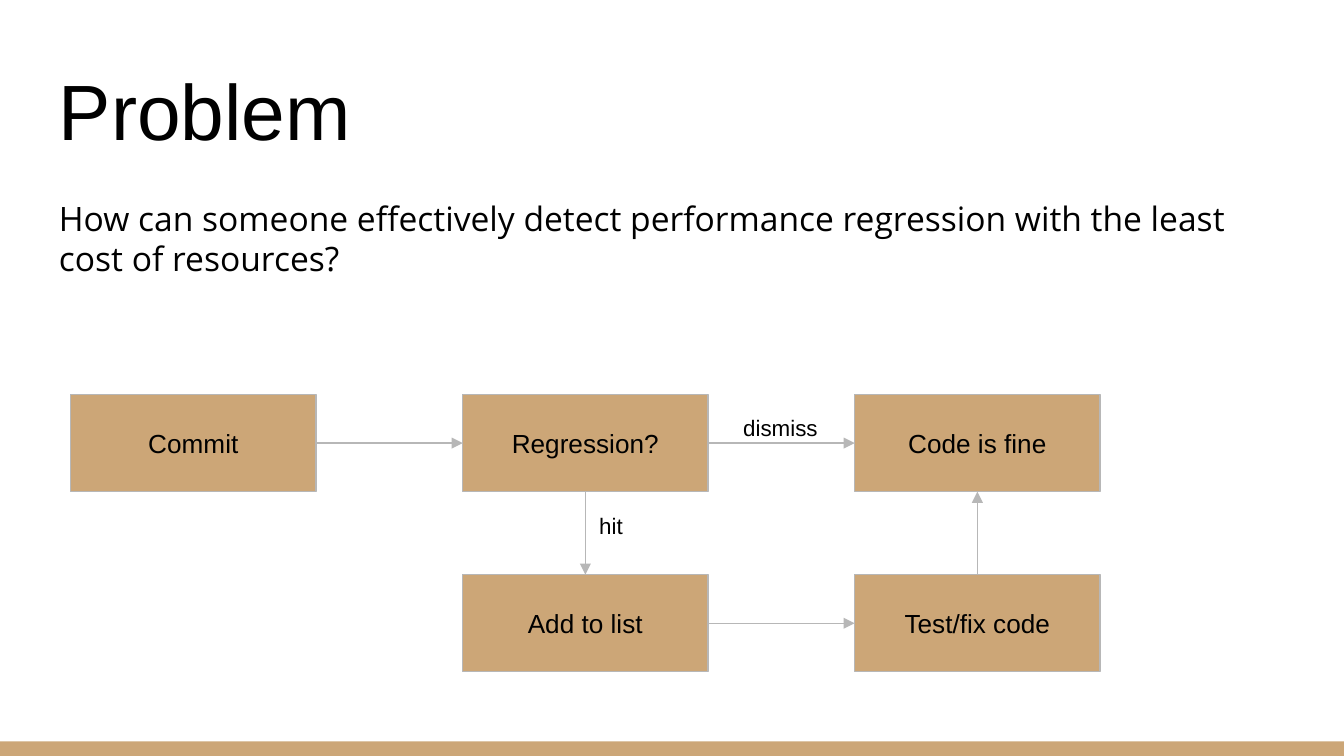
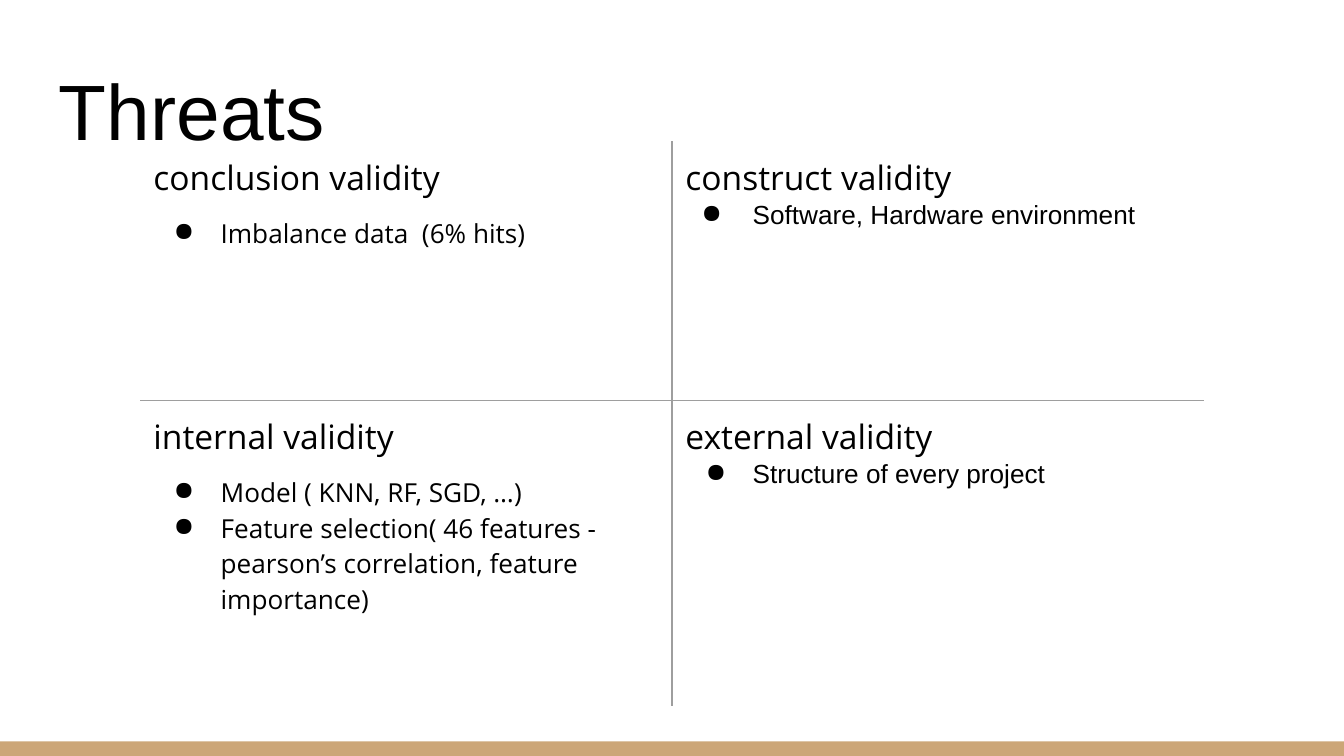
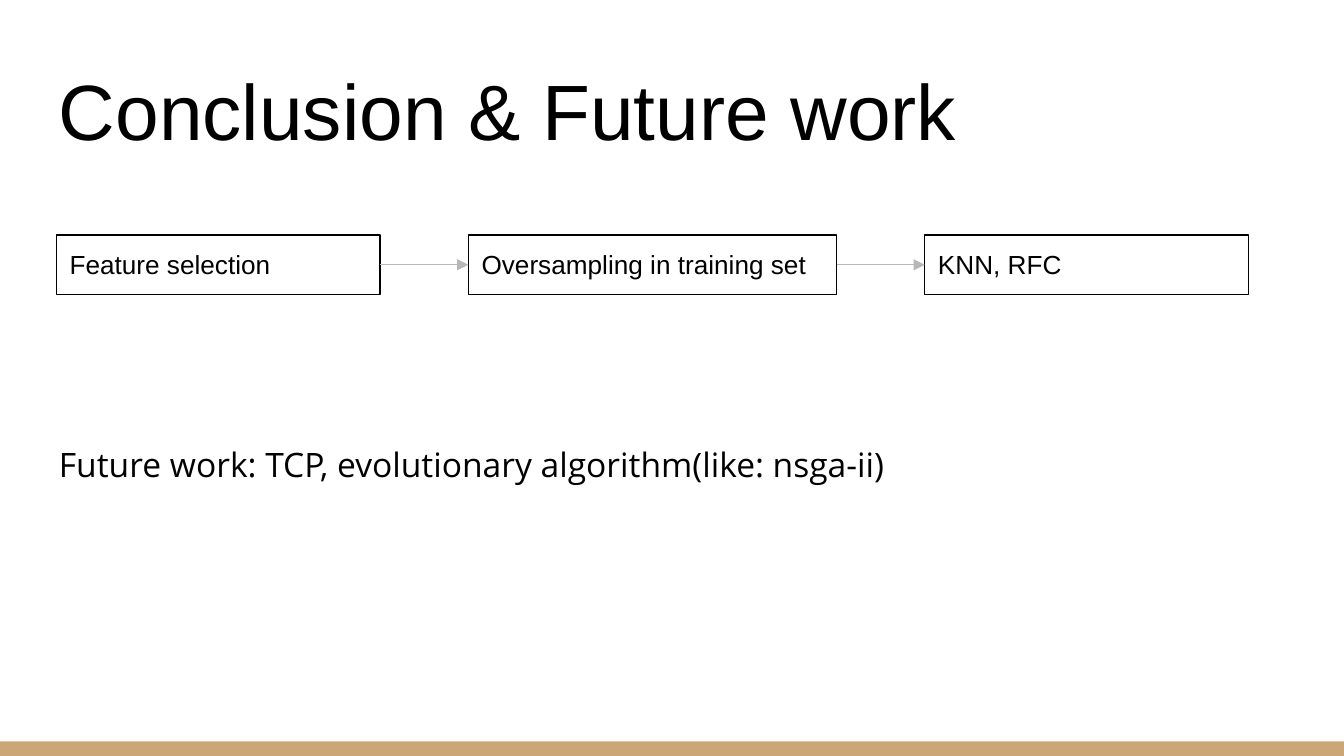
from dataclasses import dataclass

from lxml import etree
from pptx import Presentation
from pptx import util as u
from pptx.dml import color
from pptx.enum import shapes, text
from pptx.oxml import ns

WIDTH, HEIGHT = 720, 405
TAN, GREY, RULE, BLACK = "CCA677", "B7B7B7", "9E9E9E", "000000"
SANS, OPEN = "Arial", "Open Sans"
INSET = 7.2
LEFT, SPAN = 24.5, 671
TOP, LEFT_SIDE, BOTTOM, RIGHT_SIDE = range(4)


@dataclass(frozen=True)
class Box:
    left: float
    top: float
    width: float
    height: float

    def points(self) -> list:
        return [u.Pt(n) for n in (self.left, self.top, self.width, self.height)]


@dataclass(frozen=True)
class Step:
    label: str
    col: int
    row: int


@dataclass(frozen=True)
class Link:
    start: str
    side: int
    end: str
    entry: int


@dataclass(frozen=True)
class Threat:
    name: str
    items: tuple
    font: str
    hang: float = 25.2
    before: float = 0


STEPS = (
    Step("Commit", 0, 0),
    Step("Regression?", 1, 0),
    Step("Code is fine", 2, 0),
    Step("Add to list", 1, 1),
    Step("Test/fix code", 2, 1),
)
LINKS = (
    Link("Commit", RIGHT_SIDE, "Regression?", LEFT_SIDE),
    Link("Regression?", BOTTOM, "Add to list", TOP),
    Link("Regression?", RIGHT_SIDE, "Code is fine", LEFT_SIDE),
    Link("Add to list", RIGHT_SIDE, "Test/fix code", LEFT_SIDE),
    Link("Test/fix code", TOP, "Code is fine", BOTTOM),
)
THREATS = (
    (
        Threat("conclusion validity", ("Imbalance data  (6% hits)",), OPEN, before=8),
        Threat("construct validity", ("Software, Hardware environment",), SANS, hang=27.4),
    ),
    (
        Threat(
            "internal validity",
            (
                "Model ( KNN, RF, SGD, …)",
                "Feature selection( 46 features - pearson’s correlation, feature importance)",
            ),
            OPEN,
            before=8,
        ),
        Threat("external validity", ("Structure of every project",), SANS),
    ),
)
STAGES = (
    ("Feature selection", 173.5),
    ("Oversampling in training set", 197.3),
    ("KNN, RFC", 173.5),
)


def rgb(code: str) -> color.RGBColor:
    return color.RGBColor.from_string(code)


def write(para, words: str, *, size: float, font: str = SANS, align=None, before: float = 0) -> None:
    run = para.add_run()
    run.text = words
    run.font.size = u.Pt(size)
    run.font.name = font
    run.font.color.rgb = rgb(BLACK)
    para.alignment = align or text.PP_ALIGN.LEFT
    para.space_before = u.Pt(before)


def frame(shape, anchor=text.MSO_ANCHOR.TOP):
    """Set insets, wrap and anchor, and give the first paragraph."""
    body = shape.text_frame
    body.word_wrap = True
    body.vertical_anchor = anchor
    body.margin_left = body.margin_right = u.Pt(INSET)
    body.margin_top = body.margin_bottom = u.Pt(INSET)
    return body.paragraphs[0]


def add_text(slide, box: Box, words: str, *, anchor=text.MSO_ANCHOR.TOP, **style) -> None:
    write(frame(slide.shapes.add_textbox(*box.points()), anchor), words, **style)


def add_rect(slide, box: Box, *, fill: str | None = None, line: str | None = None):
    rect = slide.shapes.add_shape(shapes.MSO_SHAPE.RECTANGLE, *box.points())
    rect.shadow.inherit = False
    if fill:
        rect.fill.solid()
        rect.fill.fore_color.rgb = rgb(fill)
    else:
        rect.fill.background()
    if line:
        rect.line.color.rgb = rgb(line)
        rect.line.width = u.Pt(0.75)
    else:
        rect.line.fill.background()
    return rect


def add_link(slide, start, side: int, end, entry: int) -> None:
    link = slide.shapes.add_connector(shapes.MSO_CONNECTOR.STRAIGHT, 0, 0, 0, 0)
    link.begin_connect(start, side)
    link.end_connect(end, entry)
    link.line.color.rgb = rgb(GREY)
    link.line.width = u.Pt(0.75)
    etree.SubElement(link.line._get_or_add_ln(), ns.qn("a:tailEnd"), type="triangle")
    etree.SubElement(link._element.spPr, ns.qn("a:effectLst"))


def add_slide(deck, title: str):
    slide = deck.slides.add_slide(deck.slide_layouts[6])
    add_rect(slide, Box(0, 397.2, WIDTH, HEIGHT - 397.2), fill=TAN)
    add_text(slide, Box(LEFT, 25.2, SPAN, 65.5), title, size=42, anchor=text.MSO_ANCHOR.BOTTOM)
    return slide


def add_bullet(para, hang: float) -> None:
    props = para._p.get_or_add_pPr()
    props.set("marL", str(u.Pt(36)))
    props.set("indent", str(-u.Pt(hang)))
    tint = etree.SubElement(props, ns.qn("a:buClr"))
    etree.SubElement(tint, ns.qn("a:srgbClr"), val=BLACK)
    etree.SubElement(props, ns.qn("a:buChar"), char="●")


def set_edges(cell, inner: set[str]) -> None:
    """Draw the inner edges of a cell and hide the others."""
    props = cell._tc.get_or_add_tcPr()
    for edge in "LRTB":
        line = etree.SubElement(props, ns.qn(f"a:ln{edge}"), w=str(u.Pt(0.75)))
        if edge in inner:
            fill = etree.SubElement(line, ns.qn("a:solidFill"))
            etree.SubElement(fill, ns.qn("a:srgbClr"), val=RULE)
        else:
            etree.SubElement(line, ns.qn("a:noFill"))
    cell.fill.background()


def fill_cell(cell, threat: Threat) -> None:
    cell.margin_left = cell.margin_right = u.Pt(INSET)
    cell.margin_top = cell.margin_bottom = u.Pt(INSET)
    body = cell.text_frame
    write(body.paragraphs[0], threat.name, size=18, font=OPEN)
    for i, item in enumerate(threat.items):
        para = body.add_paragraph()
        write(para, item, size=14, font=threat.font, before=0 if i else threat.before)
        add_bullet(para, threat.hang)


def draw_problem(deck) -> None:
    slide = add_slide(deck, "Problem")
    add_text(
        slide,
        Box(LEFT, 98.6, SPAN, 262),
        "How can someone effectively detect performance regression with the least cost of resources?",
        size=18,
        font=OPEN,
    )
    nodes = {}
    for step in STEPS:
        box = Box(37.9 + 210 * step.col, 211.4 + 96.5 * step.row, 131.4, 52)
        node = add_rect(slide, box, fill=TAN, line=GREY)
        write(frame(node, text.MSO_ANCHOR.MIDDLE), step.label, size=14, align=text.PP_ALIGN.CENTER)
        nodes[step.label] = node
    for link in LINKS:
        add_link(slide, nodes[link.start], link.side, nodes[link.end], link.entry)
    add_text(slide, Box(391, 214.6, 56.2, 28.8), "dismiss", size=12)
    add_text(slide, Box(313.9, 267.1, 33.8, 28.8), "hit", size=12)


def draw_threats(deck) -> None:
    slide = add_slide(deck, "Threats")
    cols, rows = (285, 285), (139, 163.4)
    box = Box(75, 75.6, sum(cols), sum(rows))
    table = slide.shapes.add_table(len(rows), len(cols), *box.points()).table
    table.first_row = table.horz_banding = False
    for col, width in zip(table.columns, cols):
        col.width = u.Pt(width)
    for r, height in enumerate(rows):
        table.rows[r].height = u.Pt(height)
        for c, threat in enumerate(THREATS[r]):
            cell = table.cell(r, c)
            fill_cell(cell, threat)
            set_edges(cell, {"RL"[c], "BT"[r]})


def draw_future(deck) -> None:
    slide = add_slide(deck, "Conclusion & Future work")
    add_text(
        slide,
        Box(LEFT, 230.4, SPAN, 130.2),
        "Future work: TCP, evolutionary algorithm(like: nsga-ii)",
        size=18,
        font=OPEN,
    )
    left, gap, last = 30.2, 47.2, None
    for label, width in STAGES:
        stage = add_rect(slide, Box(left, 126, width, 31.7), line=BLACK)
        write(frame(stage), label, size=14)
        if last:
            add_link(slide, last, RIGHT_SIDE, stage, LEFT_SIDE)
        left, last = left + width + gap, stage


def main() -> None:
    deck = Presentation()
    deck.slide_width, deck.slide_height = u.Pt(WIDTH), u.Pt(HEIGHT)
    draw_problem(deck)
    draw_threats(deck)
    draw_future(deck)
    deck.save("out.pptx")


if __name__ == "__main__":
    main()
